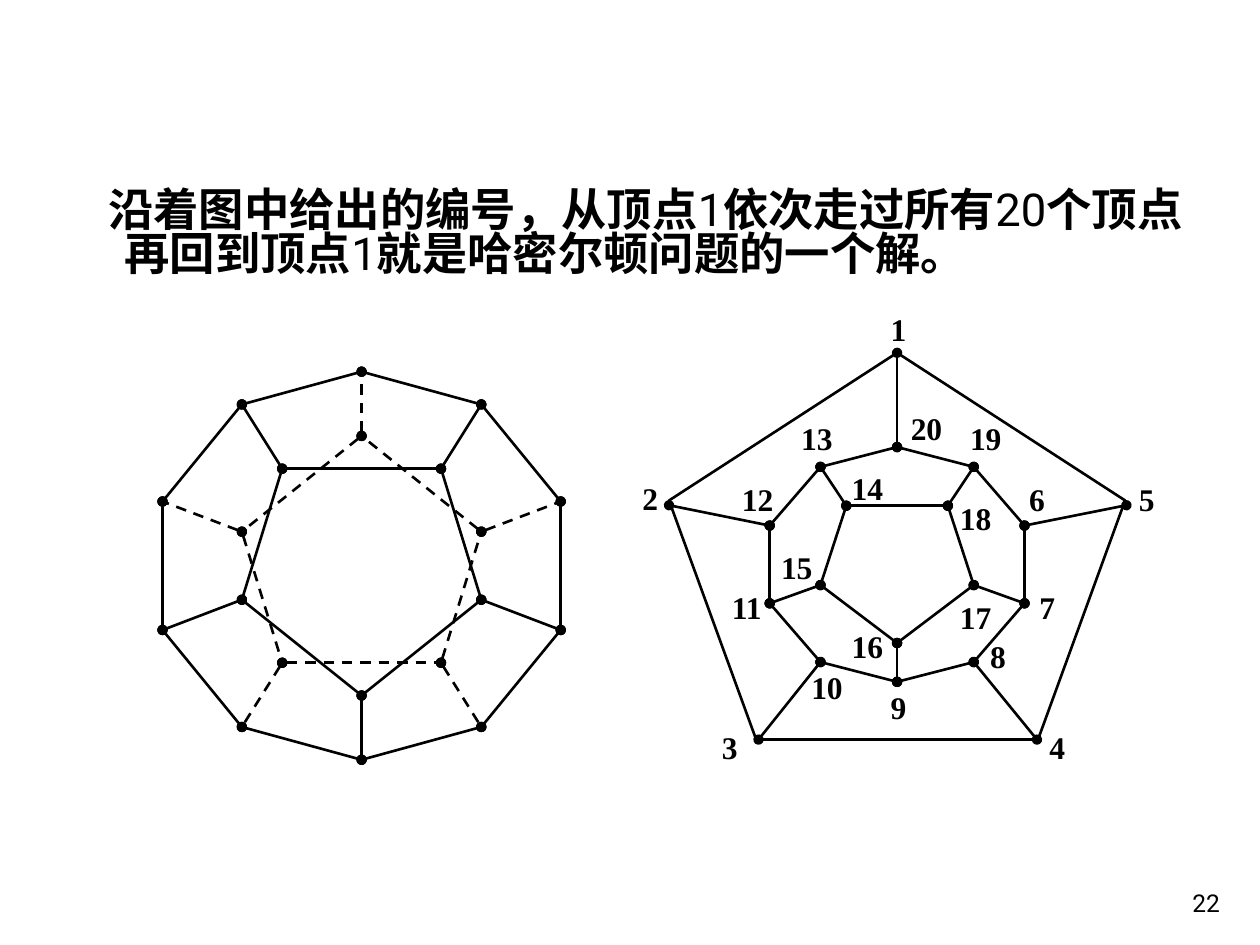
from lxml.etree import SubElement
from pptx import Presentation
from pptx.dml.color import RGBColor
from pptx.enum.dml import MSO_LINE
from pptx.enum.shapes import MSO_CONNECTOR, MSO_SHAPE
from pptx.enum.text import MSO_ANCHOR, MSO_AUTO_SIZE, PP_ALIGN
from pptx.oxml.ns import qn
from pptx.util import Inches, Pt

COLORS = {"ink": "000000"}
INK = RGBColor.from_string(COLORS["ink"])
LINE_WIDTH = Pt(1.5)


def add_edge(group, start, end, dashed=False):
    """Join two vertices by a line with a dot at each end."""
    edge = group.shapes.add_connector(
        MSO_CONNECTOR.STRAIGHT, *[Inches(value) for value in (*start, *end)])
    edge.line.color.rgb = INK
    edge.line.width = LINE_WIDTH
    if dashed:
        edge.line.dash_style = MSO_LINE.DASH
    outline = edge.line._get_or_add_ln()
    for tag in ("a:headEnd", "a:tailEnd"):
        SubElement(outline, qn(tag), type="oval")
    SubElement(edge._element.spPr, qn("a:effectLst"))


def add_text(shapes, place, spans, size, font, wrap=True):
    """Add a text box of (text, bold) spans and return its frame."""
    frame = shapes.add_textbox(*[Inches(value) for value in place]).text_frame
    frame.word_wrap = wrap
    para = frame.paragraphs[0]
    for text, bold in spans:
        span = para.add_run()
        span.text = text
        span.font.color.rgb = INK
        style = {"name": font, "size": Pt(size), "bold": bold}
        for name, value in style.items():
            setattr(span.font, name, value)
    return frame


deck = Presentation()
deck.slide_width, deck.slide_height = Inches(10), Inches(7.5)
page = deck.slides.add_slide(deck.slide_layouts[6])

# Statement
statement = [
    ("沿着图中给出的编号，从顶点", True), ("1", False),
    ("依次走过所有", True), ("20", False),
    ("个顶点再回到顶点", True), ("1", False),
    ("就是哈密尔顿问题的一个解。", True),
]
frame = add_text(page.shapes, (0.51, 1.47, 9, 0.94), statement, 25.9, "Roboto")
para = frame.paragraphs[0]
para.line_spacing = Pt(25.2)
indents = para._p.get_or_add_pPr()
indents.set("marL", str(Inches(0.38)))
indents.set("indent", str(Inches(-0.13)))

# Vertices relative to the centre, counterclockwise from the top of the ring
RING = [(0, -1.54), (-0.95, -1.28), (-1.58, -0.51), (-1.58, 0.51), (-0.95, 1.28),
        (0, 1.54), (0.95, 1.28), (1.58, 0.51), (1.58, -0.51), (0.95, -1.28)]
FRONT = [(0, 1.03), (0.95, 0.27), (0.63, -0.77), (-0.63, -0.77), (-0.95, 0.27)]
BACK = [(-x, -y) for x, y in FRONT]

# Dodecahedron on the left, its planar drawing on the right
figures = [
    {"center": (2.87, 4.49), "scale": (1, 1), "back": True},
    {"center": (7.12, 4.48), "scale": (0.64, 0.605), "back": False},
]
for figure in figures:
    group = page.shapes.add_group_shape()
    (center_x, center_y), (scale_x, scale_y) = figure["center"], figure["scale"]
    ring, front, back = [
        [(center_x + x * scale_x, center_y + y * scale_y) for x, y in vertices]
        for vertices in (RING, FRONT, BACK)]
    for i in range(10):
        add_edge(group, ring[i], ring[(i + 1) % 10])
    for i in range(5):
        add_edge(group, front[i], front[(i + 1) % 5])
        add_edge(group, front[i], ring[(5 + 2 * i) % 10])
        if figure["back"]:
            add_edge(group, back[i], back[(i + 1) % 5], dashed=True)
            add_edge(group, back[i], ring[2 * i], dashed=True)

# Outer pentagon of the planar drawing, joined to every other ring vertex
pentagon = group.shapes.add_shape(
    MSO_SHAPE.REGULAR_PENTAGON, Inches(5.31), Inches(2.8), Inches(3.62), Inches(3.07))
pentagon.shadow.inherit = False
pentagon.fill.background()
pentagon.line.color.rgb = INK
pentagon.line.width = LINE_WIDTH
corners = [(7.12, 2.8), (5.31, 4.01), (6.02, 5.87), (8.23, 5.87), (8.94, 4.01)]
for corner, vertex in zip(corners, ring[::2]):
    add_edge(group, corner, vertex)

# Vertex numbers 1 to 20, in order
label_places = [
    (6.97, 2.41), (5, 3.75), (5.63, 5.73), (8.23, 5.73), (8.94, 3.76),
    (8.07, 3.76), (8.15, 4.62), (7.76, 5.01), (6.97, 5.41), (6.34, 5.25),
    (5.71, 4.62), (5.79, 3.76), (6.26, 3.28), (6.66, 3.67), (6.1, 4.3),
    (6.66, 4.93), (7.52, 4.7), (7.52, 3.91), (7.6, 3.28), (7.13, 3.2),
]
for number, (left, top) in enumerate(label_places, start=1):
    width = 0.32 if number < 10 else 0.45
    frame = add_text(group.shapes, (left, top, width, 0.4), [(str(number), True)],
                     18, "Times New Roman", wrap=False)
    frame.auto_size = MSO_AUTO_SIZE.SHAPE_TO_FIT_TEXT

# Page number
frame = add_text(page.shapes, (7.7, 6.83, 2.08, 0.5), [("22", False)], 14, "Roboto")
frame.vertical_anchor = MSO_ANCHOR.BOTTOM
frame.paragraphs[0].alignment = PP_ALIGN.RIGHT

deck.save("out.pptx")
